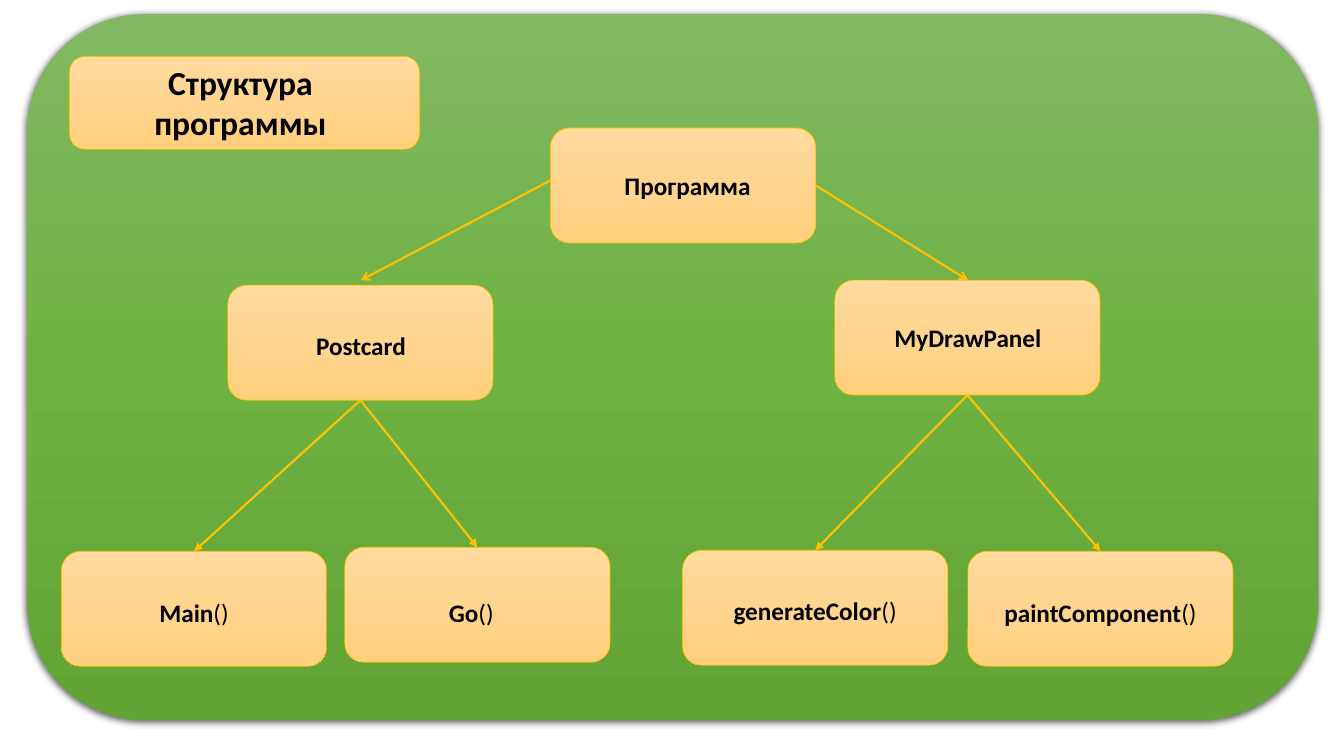
import pptx
import pptx.dml.color
import pptx.enum.shapes
import pptx.enum.text
import pptx.oxml.ns
import pptx.util
from lxml import etree
from pptx.util import Inches

RGBColor = pptx.dml.color.RGBColor
qn = pptx.oxml.ns.qn

BLACK = RGBColor(0x00, 0x00, 0x00)
GOLD = RGBColor(0xFF, 0xC0, 0x00)
GREENS = [RGBColor(0x81, 0xB8, 0x61), RGBColor(0x6F, 0xB2, 0x42), RGBColor(0x62, 0xA3, 0x36)]
PEACHES = [RGBColor(0xFF, 0xDB, 0x9E), RGBColor(0xFF, 0xD5, 0x90), RGBColor(0xFF, 0xD0, 0x7C)]

FONT = "Calibri"
NODE_WIDTH, NODE_HEIGHT = 2.63, 1.14

# Node name, call brackets, left and top of the box, then left, top and width of the label
PROGRAM = ("Программа", "", 5.46, 1.27, 5.6, 1.64, 2.44)
CLASSES = [
    (("Postcard", "", 2.26, 2.83, 2.3, 3.23, 2.56), [
        ("Main", "()", 0.61, 5.47, 0.61, 5.88, 2.63),
        ("Go", "()", 3.42, 5.43, 3.36, 5.88, 2.63),
    ]),
    (("MyDrawPanel", "", 8.28, 2.78, 8.33, 3.15, 2.54), [
        ("generateColor", "()", 6.77, 5.46, 6.77, 5.86, 2.63),
        ("paintComponent", "()", 9.6, 5.47, 9.6, 5.88, 2.63),
    ]),
]
PROGRAM_ARROWS = [((5.46, 1.79), (3.58, 2.78)), ((8.09, 1.84), (9.6, 2.78))]


def fill_gradient(shape, colors):
    """Fill from top to bottom with evenly spaced colours."""
    shape.fill.gradient()
    shape.fill.gradient_angle = 270
    stops = shape.element.spPr.find(qn("a:gradFill")).find(qn("a:gsLst"))
    for stop in list(stops):
        stops.remove(stop)
    for index, color in enumerate(colors):
        position = 100000 * index // (len(colors) - 1)
        stop = etree.SubElement(stops, qn("a:gs"), pos=str(position))
        etree.SubElement(stop, qn("a:srgbClr"), val=str(color))


def add_box(slide, left, top, width, height, colors, outline=None):
    shape = slide.shapes.add_shape(
        pptx.enum.shapes.MSO_SHAPE.ROUNDED_RECTANGLE,
        Inches(left), Inches(top), Inches(width), Inches(height))
    shape.shadow.inherit = False
    fill_gradient(shape, colors)
    if outline is None:
        shape.line.fill.background()
    else:
        shape.line.color.rgb = outline
        shape.line.width = pptx.util.Pt(0.5)
    return shape


def add_shadow(shape):
    effects = shape.element.spPr.find(qn("a:effectLst"))
    shadow = etree.SubElement(
        effects, qn("a:outerShdw"), blurRad=str(pptx.util.Pt(4.5)),
        dist=str(pptx.util.Pt(1.5)), dir="5400000", algn="ctr", rotWithShape="0")
    color = etree.SubElement(shadow, qn("a:srgbClr"), val=str(BLACK))
    etree.SubElement(color, qn("a:alpha"), val="63000")


def add_text(slide, text, left, top, width, height=0.4, size=18, plain_ending=""):
    """Add a centred bold label, with an optional ending in regular weight."""
    box = slide.shapes.add_textbox(Inches(left), Inches(top), Inches(width), Inches(height))
    frame = box.text_frame
    frame.word_wrap = True
    frame.auto_size = pptx.enum.text.MSO_AUTO_SIZE.SHAPE_TO_FIT_TEXT
    paragraph = frame.paragraphs[0]
    paragraph.alignment = pptx.enum.text.PP_ALIGN.CENTER
    for part, bold in ((text, True), (plain_ending, False)):
        if part:
            run = paragraph.add_run()
            run.text = part
            run.font.name = FONT
            run.font.size = pptx.util.Pt(size)
            run.font.bold = bold
            run.font.color.rgb = BLACK


def add_node(slide, node):
    name, brackets, left, top, label_left, label_top, label_width = node
    add_box(slide, left, top, NODE_WIDTH, NODE_HEIGHT, PEACHES, outline=GOLD)
    add_text(slide, name, label_left, label_top, label_width, plain_ending=brackets)


def add_arrow(slide, start, end, head="triangle"):
    connector = slide.shapes.add_connector(
        pptx.enum.shapes.MSO_CONNECTOR.STRAIGHT,
        *(Inches(value) for value in start + end))
    connector.line.color.rgb = GOLD
    connector.line.width = pptx.util.Pt(1.5)
    properties = connector.element.spPr
    etree.SubElement(properties.find(qn("a:ln")), qn("a:tailEnd"), type=head)
    etree.SubElement(properties, qn("a:effectLst"))


def top_center(node):
    return node[2] + NODE_WIDTH / 2, node[3]


def bottom_center(node):
    return node[2] + NODE_WIDTH / 2, node[3] + NODE_HEIGHT


def main():
    presentation = pptx.Presentation()
    presentation.slide_width = Inches(13.33)
    presentation.slide_height = Inches(7.5)
    slide = presentation.slides.add_slide(presentation.slide_layouts[6])

    # Green panel
    add_shadow(add_box(slide, 0.27, 0.14, 12.8, 7, GREENS))

    # Title
    add_box(slide, 0.69, 0.56, 3.47, 0.92, PEACHES, outline=GOLD)
    add_text(slide, "Структура программы", 0.84, 0.56, 3.09, height=0.91, size=24)

    # Program and its classes
    add_node(slide, PROGRAM)
    for start, end in PROGRAM_ARROWS:
        add_arrow(slide, start, end, head="arrow")

    # Classes and their methods
    for class_node, methods in CLASSES:
        add_node(slide, class_node)
        for method in methods:
            add_node(slide, method)
            add_arrow(slide, bottom_center(class_node), top_center(method))

    presentation.save("out.pptx")


if __name__ == "__main__":
    main()
